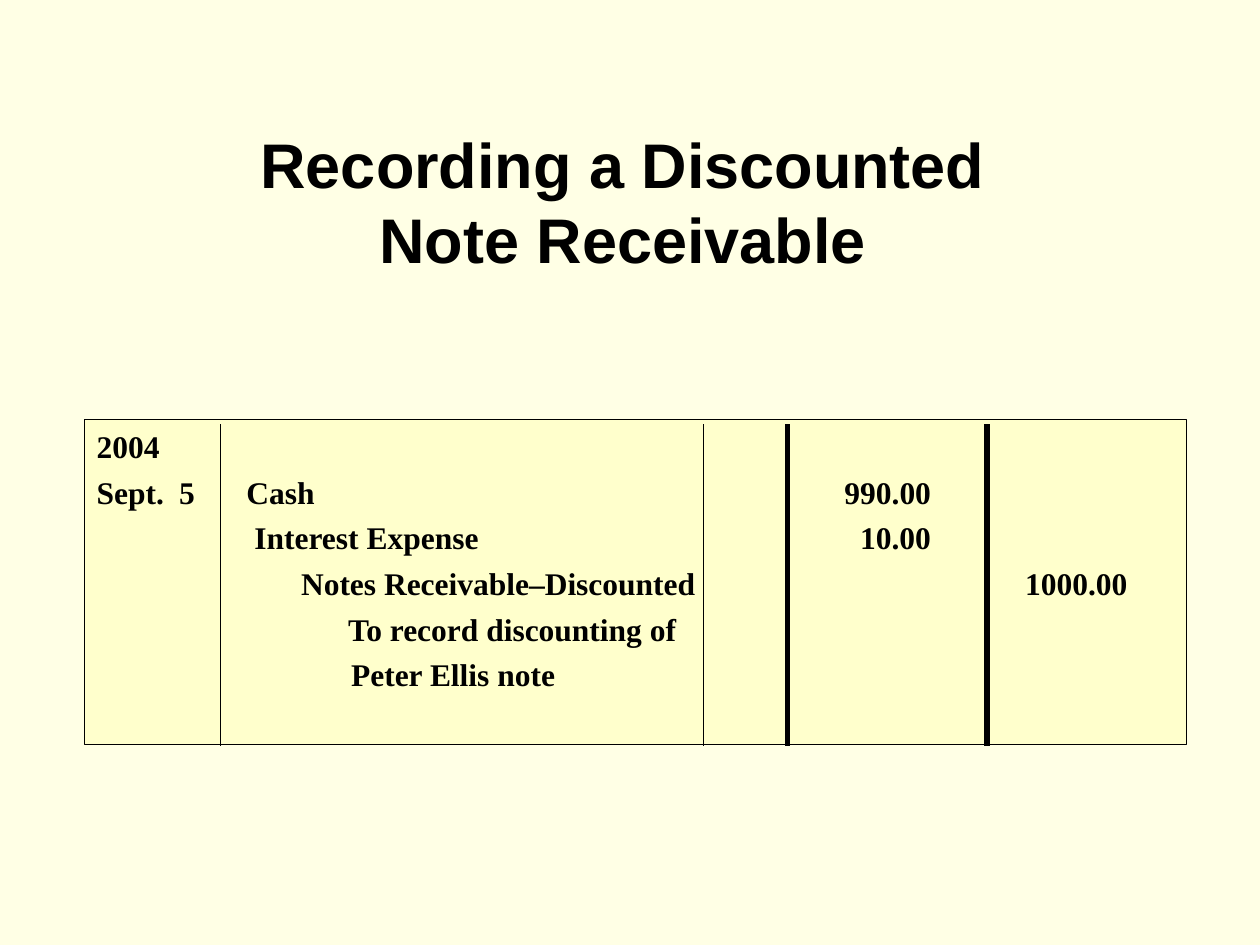
from dataclasses import dataclass

from lxml import etree
from pptx import Presentation
from pptx.dml.color import RGBColor
from pptx.enum.shapes import MSO_CONNECTOR, MSO_SHAPE
from pptx.enum.text import MSO_ANCHOR, MSO_AUTO_SIZE, PP_ALIGN
from pptx.oxml.ns import qn
from pptx.util import Cm, Pt

STRAIGHT = MSO_CONNECTOR.STRAIGHT
RECTANGLE = MSO_SHAPE.RECTANGLE
TOP = MSO_ANCHOR.TOP
NO_AUTOFIT = MSO_AUTO_SIZE.NONE
LEFT, CENTER = PP_ALIGN.LEFT, PP_ALIGN.CENTER


@dataclass(frozen=True)
class Theme:
    page: RGBColor = RGBColor(0xFF, 0xFF, 0xE5)
    ledger: RGBColor = RGBColor(0xFF, 0xFF, 0xCC)
    ink: RGBColor = RGBColor(0, 0, 0)
    title_font: str = "Arial"
    body_font: str = "Times New Roman"
    title_size: int = 36
    body_size: int = 18
    line_factor: float = 1.2
    thin: float = 0.75
    thick: float = 3


theme = Theme()


def write(frame, text, *, font, size, align=LEFT, tabs=(), before=0, first=False):
    """Add one bold paragraph; tabs holds (position in cm, "l" or "r") pairs."""
    para = frame.paragraphs[0] if first else frame.add_paragraph()
    if tabs:
        tab_list = etree.SubElement(para._p.get_or_add_pPr(), qn("a:tabLst"))
        for position, side in tabs:
            etree.SubElement(tab_list, qn("a:tab"), pos=str(Cm(position)), algn=side)
    para.alignment = align
    para.line_spacing = Pt(size * theme.line_factor)
    para.space_before = Pt(0 if first else before)
    span = para.add_run()
    span.text = text
    span.font.name = font
    span.font.size = Pt(size)
    span.font.bold = True
    span.font.color.rgb = theme.ink


deck = Presentation()
deck.slide_width, deck.slide_height = Cm(25.4), Cm(19.05)
page = deck.slides.add_slide(deck.slide_layouts[5])
page.background.fill.solid()
page.background.fill.fore_color.rgb = theme.page

# Title
title = page.shapes.title
title.left, title.top, title.width, title.height = Cm(5), Cm(2.36), Cm(15.47), Cm(3.3)
frame = title.text_frame
frame.auto_size = NO_AUTOFIT
frame.word_wrap = False
frame.vertical_anchor = TOP
frame.margin_left, frame.margin_right = Cm(0.25), Cm(0.61)
frame.margin_top = Cm(0.16)
for index, line in enumerate(("Recording a Discounted", "Note Receivable")):
    write(frame, line, font=theme.title_font, size=theme.title_size,
          align=CENTER, first=index == 0)

# Journal entry
journal = page.shapes.add_shape(RECTANGLE, Cm(1.7), Cm(8.46), Cm(22.22), Cm(6.55))
journal.shadow.inherit = False
journal.fill.solid()
journal.fill.fore_color.rgb = theme.ledger
journal.line.color.rgb = theme.ink
journal.line.width = Pt(theme.thin)
frame = journal.text_frame
frame.word_wrap = True
frame.vertical_anchor = TOP
frame.margin_left = frame.margin_right = Cm(0.25)
frame.margin_top = Cm(0.15)

DAY = (1.66, "l")
DEBIT = (16.82, "r")
CREDIT = (20.78, "r")
entries = [
    ("2004", ()),
    ("Sept.\t5\tCash\t990.00", (DAY, (3.02, "l"), DEBIT)),
    ("\tInterest Expense\t10.00", ((3.18, "l"), DEBIT)),
    ("\tNotes Receivable–Discounted\t1000.00", ((4.12, "l"), CREDIT)),
    ("\tTo record discounting of", ((5.07, "l"),)),
    ("\tPeter Ellis note", ((5.13, "l"),)),
]
for index, (entry, tabs) in enumerate(entries):
    write(frame, entry, font=theme.body_font, size=theme.body_size,
          tabs=tabs, before=4.5, first=index == 0)

# Column rules
rules = [(4.44, theme.thin), (14.18, theme.thin), (15.88, theme.thick), (19.9, theme.thick)]
for x, weight in rules:
    rule = page.shapes.add_connector(STRAIGHT, Cm(x), Cm(8.55), Cm(x), Cm(15.03))
    rule.line.color.rgb = theme.ink
    rule.line.width = Pt(weight)
    etree.SubElement(rule._element.spPr, qn("a:effectLst"))

deck.save("out.pptx")
